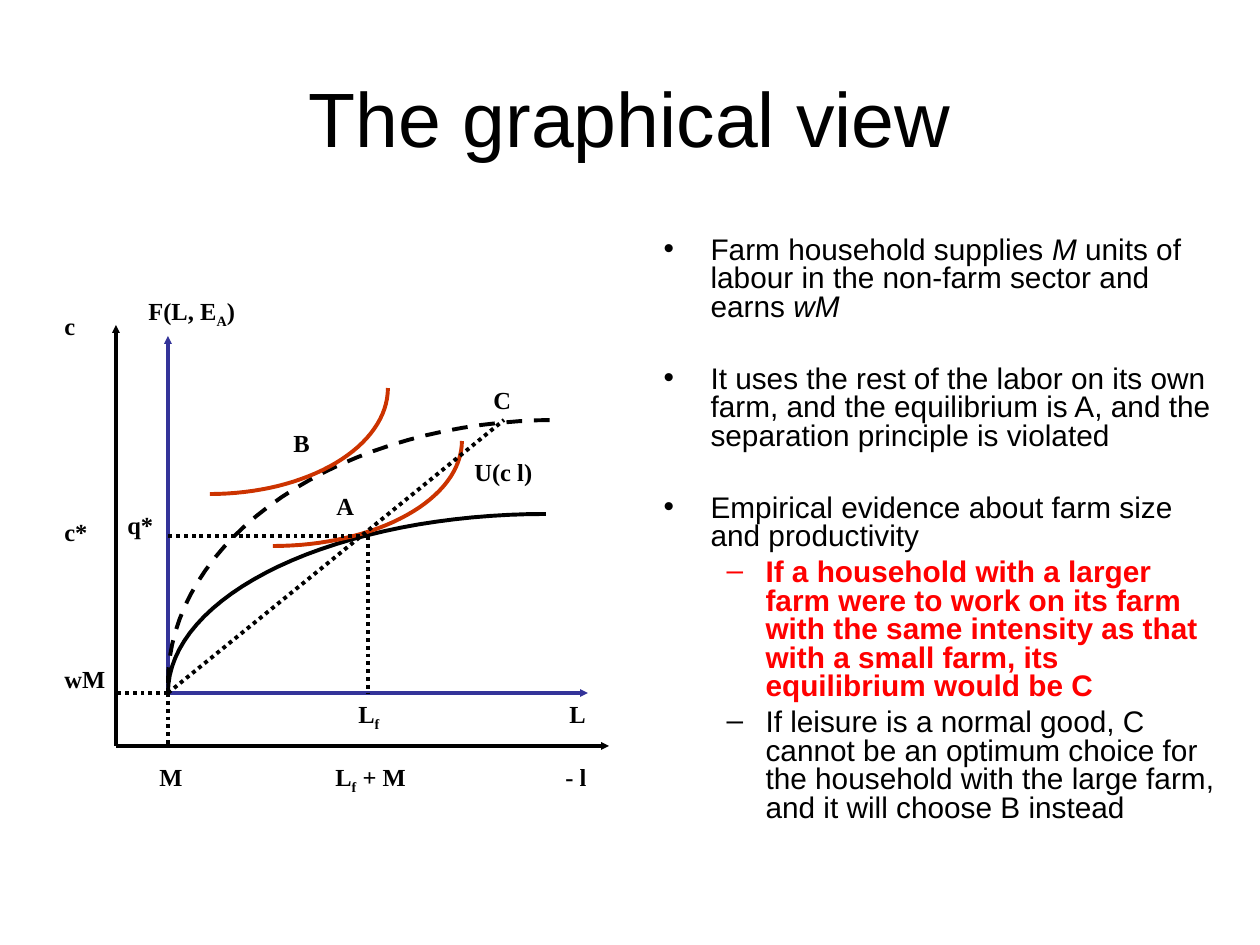
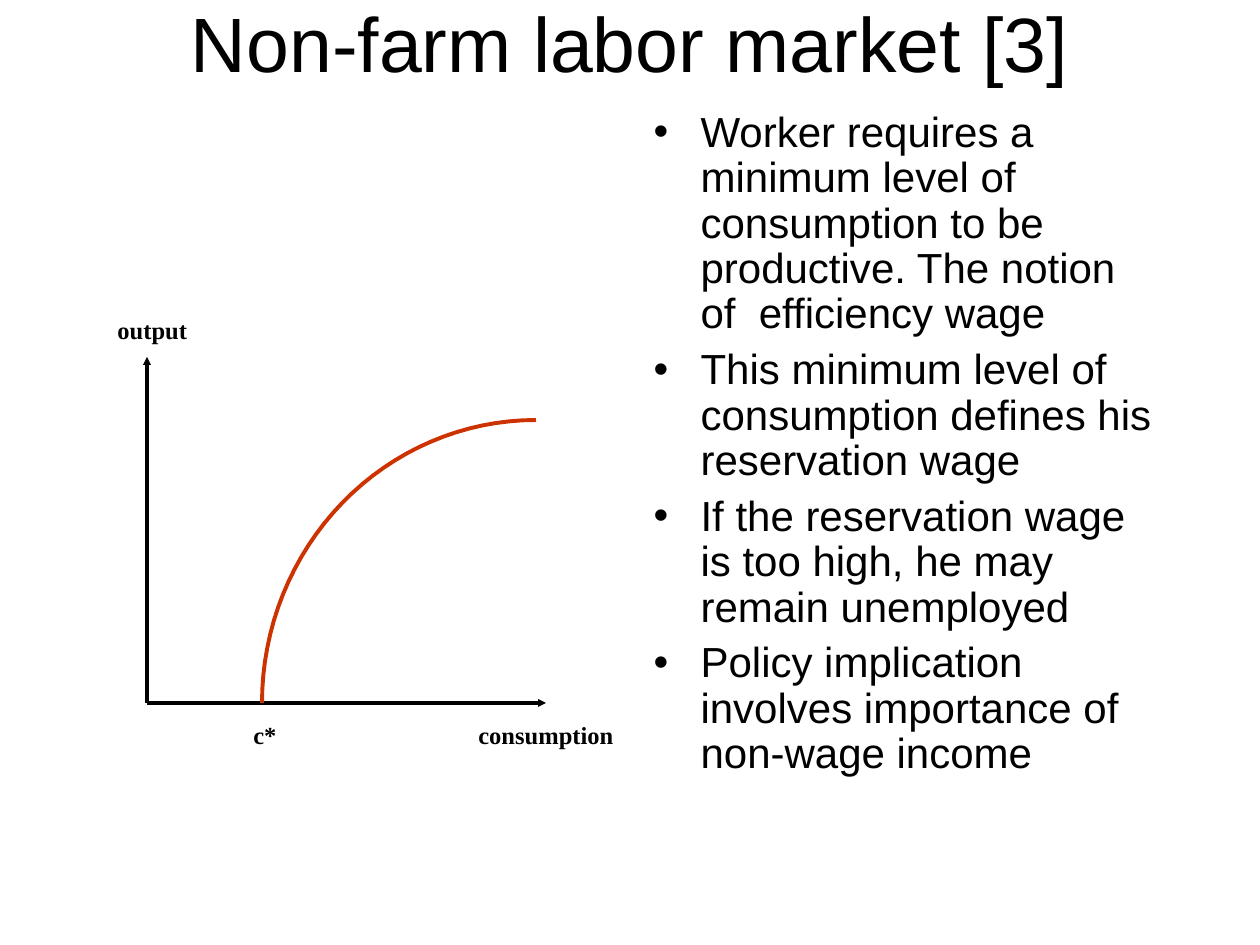
from math import cos, pi, sin

from pptx import Presentation
from pptx.dml.color import RGBColor
from pptx.enum.dml import MSO_LINE
from pptx.enum.shapes import MSO_CONNECTOR
from pptx.enum.text import MSO_ANCHOR, MSO_AUTO_SIZE, PP_ALIGN
from pptx.oxml.ns import qn
from pptx.util import Emu, Pt

PX = 914400 / 126
BLACK, BLUE, ORANGE, RED = "000000", "333399", "CC3300", "FF0000"
SOLID, DASH, DOT = MSO_LINE.SOLID, MSO_LINE.DASH, MSO_LINE.ROUND_DOT
BODY_FONT, LABEL_FONT = "Arial", "Times New Roman"
STROKE = Pt(2.25)
LABEL_HEIGHT = 43
CURVE_STEPS = 32
# Per list level: bullet, left margin, hanging indent
LEVELS = [("•", 47, 47), ("–", 102, 39)]

# Points shared by the strokes of the household diagram
ORIGIN, FARM_ORIGIN, POINT_A, POINT_C = (116, 746), (168, 693), (368, 536), (504, 420)
WAGE_ORIGIN = (147, 703)

# Text between underscores is italic in lists and subscript in labels.
# bullets: level, space before in points, colour, bold, text
# axes: from, to, colour; guides: from, to
# curves: end with vertical tangent, end with horizontal tangent, colour, dash
# labels: left, top, width, text
SLIDES = [
    {
        "title": "The graphical view",
        "title_box": (63, 38, 1134, 157),
        "body_box": (651, 231, 577, 614),
        "size": 17,
        "line_spacing": 0.8,
        "bullets": [
            (0, 4.2, BLACK, False, "Farm household supplies _M_ units of labour in the "
                                   "non-farm sector and earns _wM_"),
            (0, 24.7, BLACK, False, "It uses the rest of the labor on its own farm, and the "
                                    "equilibrium is A, and the separation principle is violated"),
            (0, 24.7, BLACK, False, "Empirical evidence about farm size and productivity"),
            (1, 4.2, RED, True, "If a household with a larger farm were to work on its farm "
                                "with the same intensity as that with a small farm, its "
                                "equilibrium would be C"),
            (1, 4.2, BLACK, False, "If leisure is a normal good, C cannot be an optimum choice "
                                   "for the household with the large farm, and it will choose "
                                   "B instead"),
        ],
        "axes": [
            (ORIGIN, (116, 325), BLACK),
            (ORIGIN, (609, 746), BLACK),
            (FARM_ORIGIN, (168, 336), BLUE),
            (FARM_ORIGIN, (588, 693), BLUE),
        ],
        "curves": [
            (FARM_ORIGIN, (546, 514), BLACK, SOLID),
            ((168, 683), (557, 420), BLACK, DASH),
            ((462, 441), (273, 546), ORANGE, SOLID),
            ((388, 388), (210, 494), ORANGE, SOLID),
        ],
        "guides": [
            (FARM_ORIGIN, (168, 746)),
            (FARM_ORIGIN, (116, 693)),
            (FARM_ORIGIN, POINT_C),
            (POINT_A, (368, 693)),
            (POINT_A, (168, 536)),
        ],
        "labels": [
            (147, 756, 50, "M"),
            (323, 756, 98, "L_f_ + M"),
            (553, 756, 50, "- l"),
            (346, 693, 50, "L_f_"),
            (557, 693, 44, "L"),
            (52, 305, 40, "c"),
            (52, 511, 50, "c*"),
            (52, 658, 68, "wM"),
            (136, 290, 126, "F(L, E_A_)"),
            (115, 504, 52, "q*"),
            (281, 422, 42, "B"),
            (481, 379, 43, "C"),
            (324, 485, 43, "A"),
            (462, 451, 84, "U(c l)"),
        ],
    },
    {
        "title": "Non-farm labor market [3]",
        "title_box": (95, 0, 1070, 84),
        "body_box": (641, 105, 525, 735),
        "size": 24,
        "line_spacing": 0.9,
        "bullets": [
            (0, 6, BLACK, False, text) for text in (
                "Worker requires a minimum level of consumption to be productive. "
                "The notion of  efficiency wage",
                "This minimum level of consumption defines his reservation wage",
                "If the reservation wage is too high, he may remain unemployed",
                "Policy implication involves importance of non-wage income",
            )
        ],
        "axes": [
            (WAGE_ORIGIN, (147, 357), BLACK),
            (WAGE_ORIGIN, (546, 703), BLACK),
        ],
        "curves": [((262, 703), (536, 420), ORANGE, SOLID)],
        "guides": [],
        "labels": [
            (241, 714, 50, "c*"),
            (466, 714, 162, "consumption"),
            (105, 309, 95, "output"),
        ],
    },
]


def px(value):
    return Emu(round(value * PX))


def rgb(color):
    return RGBColor.from_string(color)


def place(sp, box):
    sp.left, sp.top, sp.width, sp.height = map(px, box)


def write_runs(p, text, font, size, color=BLACK, bold=False):
    """Fill the paragraph and return the runs that stood between underscores."""
    for part in text.split("_"):
        r = p.add_run()
        r.text = part
        r.font.name, r.font.size, r.font.bold = font, Pt(size), bold
        r.font.color.rgb = rgb(color)
    return p.runs[1::2]


def set_line(sp, color, dash):
    sp.line.color.rgb = rgb(color)
    sp.line.width = STROKE
    if dash != SOLID:
        sp.line.dash_style = dash


def add_title(slide, text, box):
    sp = slide.shapes.title
    place(sp, box)
    tf = sp.text_frame
    tf.vertical_anchor = MSO_ANCHOR.MIDDLE
    tf.auto_size = MSO_AUTO_SIZE.NONE
    p = tf.paragraphs[0]
    p.alignment = PP_ALIGN.CENTER
    write_runs(p, text, BODY_FONT, 44)


def add_bullets(slide, spec_items, box, size, line_spacing):
    sp = slide.placeholders[1]
    place(sp, box)
    tf = sp.text_frame
    tf.auto_size = MSO_AUTO_SIZE.NONE
    for i, (level, before, color, bold, text) in enumerate(spec_items):
        p = tf.add_paragraph() if i else tf.paragraphs[0]
        p.level = level
        p.line_spacing, p.space_before = line_spacing, Pt(before)
        for r in write_runs(p, text, BODY_FONT, size, color, bold):
            r.font.italic = True
        bullet, margin, hanging = LEVELS[level]
        pPr = p._p.get_or_add_pPr()
        pPr.set("marL", str(px(margin)))
        pPr.set("indent", str(-px(hanging)))
        pPr.makeelement(qn("a:buChar"), {"char": bullet})
        pPr.append(pPr.makeelement(qn("a:buChar"), {"char": bullet}))


def add_line(slide, start, end, color=BLACK, dash=SOLID, arrow=False):
    line = slide.shapes.add_connector(MSO_CONNECTOR.STRAIGHT, *map(px, start + end))
    set_line(line, color, dash)
    if arrow:
        ln = line.line._get_or_add_ln()
        ln.append(ln.makeelement(qn("a:tailEnd"), {"type": "triangle", "w": "sm", "len": "sm"}))
    spPr = line._element.spPr
    spPr.append(spPr.makeelement(qn("a:effectLst"), {}))


def add_quarter_ellipse(slide, upright_end, level_end, color, dash):
    (x0, y0), (x1, y1) = upright_end, level_end
    angles = [pi / 2 * i / CURVE_STEPS for i in range(CURVE_STEPS + 1)]
    points = [(px(x1 + (x0 - x1) * cos(a)), px(y0 + (y1 - y0) * sin(a))) for a in angles]
    builder = slide.shapes.build_freeform(*points[0])
    builder.add_line_segments(points[1:], close=False)
    sp = builder.convert_to_shape()
    sp.shadow.inherit = False
    sp.fill.background()
    set_line(sp, color, dash)


def add_label(slide, left, top, width, text):
    sp = slide.shapes.add_textbox(*map(px, (left, top, width, LABEL_HEIGHT)))
    tf = sp.text_frame
    tf.word_wrap = False
    for r in write_runs(tf.paragraphs[0], text, LABEL_FONT, 14, bold=True):
        r.font._element.set("baseline", "-25000")


def main():
    prs = Presentation()
    prs.slide_width, prs.slide_height = px(1260), px(945)
    for content in SLIDES:
        slide = prs.slides.add_slide(prs.slide_layouts[1])
        add_title(slide, content["title"], content["title_box"])
        add_bullets(slide, content["bullets"], content["body_box"],
                    content["size"], content["line_spacing"])
        for axis in content["axes"]:
            add_line(slide, *axis, arrow=True)
        for curve in content["curves"]:
            add_quarter_ellipse(slide, *curve)
        for guide in content["guides"]:
            add_line(slide, *guide, dash=DOT)
        for label in content["labels"]:
            add_label(slide, *label)
    prs.save("out.pptx")


if __name__ == "__main__":
    main()
